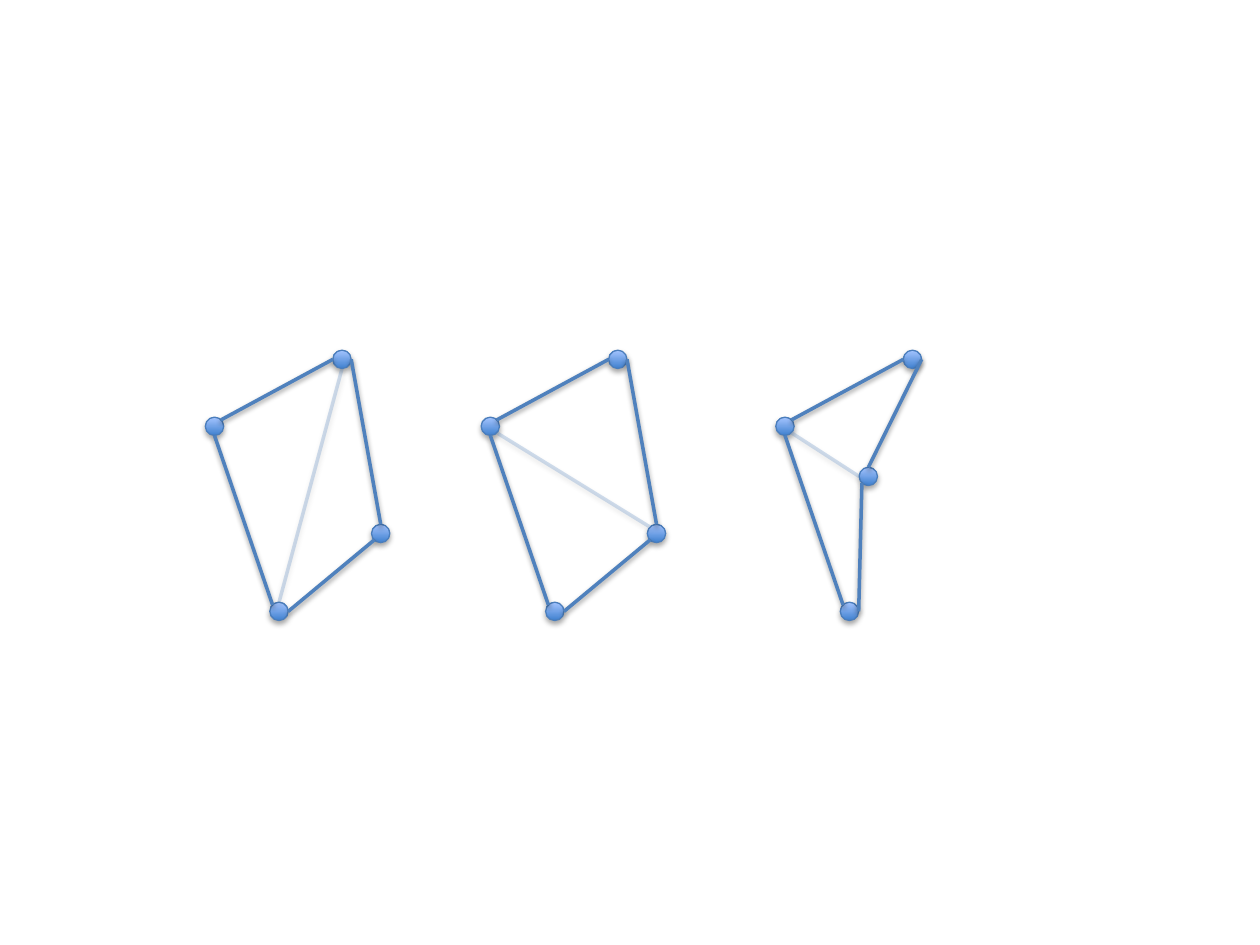
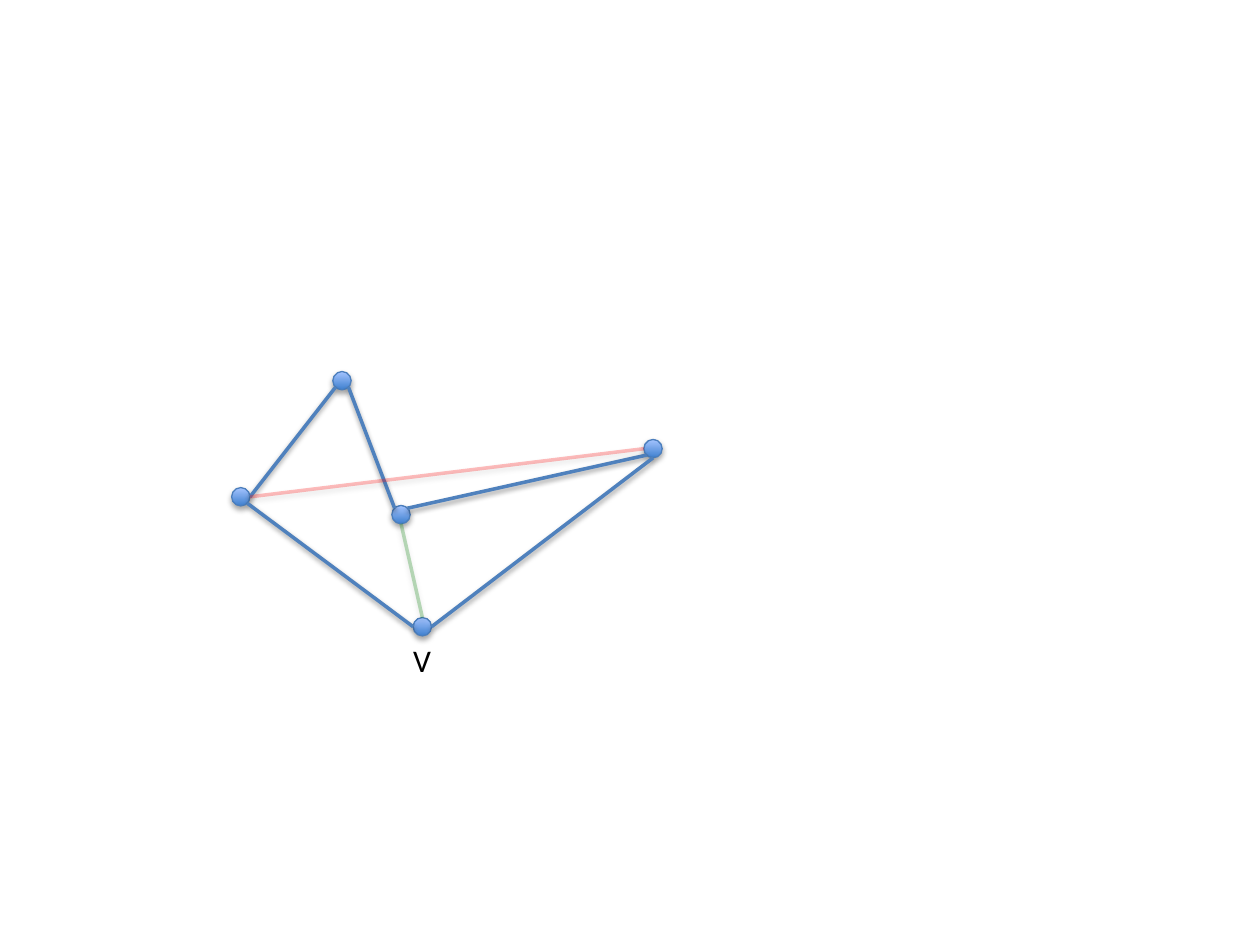
"""Draw polygons with their candidate diagonals on two slides."""
from lxml.etree import SubElement
from pptx import Presentation
from pptx.dml.color import RGBColor
from pptx.enum.shapes import MSO_CONNECTOR as CXN, MSO_SHAPE as SHAPE
from pptx.enum.text import MSO_AUTO_SIZE as AUTO_SIZE
from pptx.oxml.ns import qn
from pptx.util import Cm, Pt

EDGE = RGBColor(0x4F, 0x81, 0xBD)
NODE_LINE = RGBColor(0x4B, 0x7E, 0xBC)
NODE_DARK = RGBColor(0x3F, 0x80, 0xCE)
NODE_LIGHT = RGBColor(0xA4, 0xC4, 0xFF)
VALID = RGBColor(0x00, 0x80, 0x00)
INVALID = RGBColor(0xFF, 0x00, 0x00)
BLACK = RGBColor(0x00, 0x00, 0x00)

NODE_SIZE = 0.37
SITES = {
    "t": (0.5, 0), "tr": (0.85, 0.15), "r": (1, 0.5), "br": (0.85, 0.85),
    "b": (0.5, 1), "bl": (0.15, 0.85), "l": (0, 0.5), "tl": (0.15, 0.15),
}

CONVEX = {"left": (4.14, 8.41), "right": (7.49, 10.57),
          "top": (6.71, 7.06), "bottom": (5.44, 12.14)}
CONCAVE = {**CONVEX, "right": (5.82, 9.42)}
QUAD_EDGES = [("left", "b", "bottom", "tl"), ("top", "l", "left", "tr"),
              ("top", "r", "right", "t")]
CONVEX_EDGES = QUAD_EDGES + [("right", "bl", "bottom", "r")]
CONCAVE_EDGES = QUAD_EDGES + [("right", "bl", "bottom", "r")]
QUADS = [
    (0, CONVEX, ("top", "b", "bottom", "t")),
    (5.56, CONVEX, ("left", "br", "right", "tl")),
    (11.5, CONCAVE, ("left", "br", "right", "l")),
]

PENTAGON = {"left": (4.67, 9.83), "v": (8.33, 12.45), "peak": (6.71, 7.49),
            "right": (12.98, 8.86), "notch": (7.9, 10.19)}
PENTAGON_EDGES = [("left", "r", "peak", "bl"), ("right", "bl", "notch", "tr"),
                  ("peak", "br", "notch", "tl"), ("v", "r", "right", "b"),
                  ("left", "br", "v", "l")]


def add_shadow(shape, dist, opacity):
    """Give a shape or connector a soft shadow straight below it."""
    effects = SubElement(shape._element.spPr, qn("a:effectLst"))
    shadow = SubElement(effects, qn("a:outerShdw"), blurRad=str(Pt(3.1)),
                        dist=str(Pt(dist)), dir="5400000", rotWithShape="0")
    color = SubElement(shadow, qn("a:srgbClr"), val=str(BLACK))
    SubElement(color, qn("a:alpha"), val=str(opacity * 1000))


def add_node(s, x, y):
    """Add one round vertex with its top left corner at x, y."""
    sp = s.shapes.add_shape(SHAPE.FLOWCHART_CONNECTOR, Cm(x), Cm(y),
                            Cm(NODE_SIZE), Cm(NODE_SIZE))
    sp.fill.gradient()
    sp.fill.gradient_angle = 90
    for stop, color in zip(sp.fill.gradient_stops, (NODE_DARK, NODE_LIGHT)):
        stop.color.rgb = color
    sp.line.color.rgb = NODE_LINE
    sp.line.width = Pt(0.75)
    add_shadow(sp, 1.8, 35)


def site(node, side):
    """Return the point on the rim of a node at the given side."""
    return [Cm(pos + part * NODE_SIZE) for pos, part in zip(node, SITES[side])]


def add_edge(s, nodes, edge, color=EDGE, opacity=100):
    """Link two nodes by a line, see-through below full opacity."""
    start, start_side, end, end_side = edge
    line = s.shapes.add_connector(CXN.STRAIGHT, *site(nodes[start], start_side),
                                  *site(nodes[end], end_side))
    line.line.color.rgb = color
    line.line.width = Pt(2)
    if opacity < 100:
        rgb = line._element.spPr.find(".//" + qn("a:srgbClr"))
        SubElement(rgb, qn("a:alpha"), val=str(opacity * 1000))
    add_shadow(line, 1.6, 38)


def add_diagonal(s, nodes, edge, color=EDGE):
    """Add a faint line between two vertices."""
    add_edge(s, nodes, edge, color, 25)


def add_polygon(s, nodes, edges):
    """Add all the vertices, then the sides between them."""
    for x, y in nodes.values():
        add_node(s, x, y)
    for edge in edges:
        add_edge(s, nodes, edge)


def add_label(s, text, x, y, w, h):
    """Add a short unwrapped label."""
    tf = s.shapes.add_textbox(Cm(x), Cm(y), Cm(w), Cm(h)).text_frame
    tf.word_wrap = False
    tf.auto_size = AUTO_SIZE.SHAPE_TO_FIT_TEXT
    p = tf.paragraphs[0]
    p.text = text
    p.font.name = "Calibri"
    p.font.size = Pt(18)
    p.font.color.rgb = BLACK


def add_quads_slide(prs):
    """Show three quadrilaterals, each with one diagonal."""
    s = prs.slides.add_slide(prs.slide_layouts[6])
    for shift, corners, diagonal in QUADS:
        nodes = {name: (x + shift, y) for name, (x, y) in corners.items()}
        add_polygon(s, nodes, CONVEX_EDGES)
        add_diagonal(s, nodes, diagonal)


def add_pentagon_slide(prs):
    """Show a pentagon with a valid and an invalid diagonal."""
    s = prs.slides.add_slide(prs.slide_layouts[6])
    add_polygon(s, PENTAGON, PENTAGON_EDGES)
    add_diagonal(s, PENTAGON, ("notch", "b", "v", "t"), VALID)
    add_diagonal(s, PENTAGON, ("left", "r", "right", "l"), INVALID)
    add_label(s, "V", 8.08, 12.8, 0.89, 1.02)


def main():
    """Build and save both slides."""
    prs = Presentation()
    prs.slide_width, prs.slide_height = Cm(25.4), Cm(19.05)
    add_quads_slide(prs)
    add_pentagon_slide(prs)
    prs.save("out.pptx")


if __name__ == "__main__":
    main()
